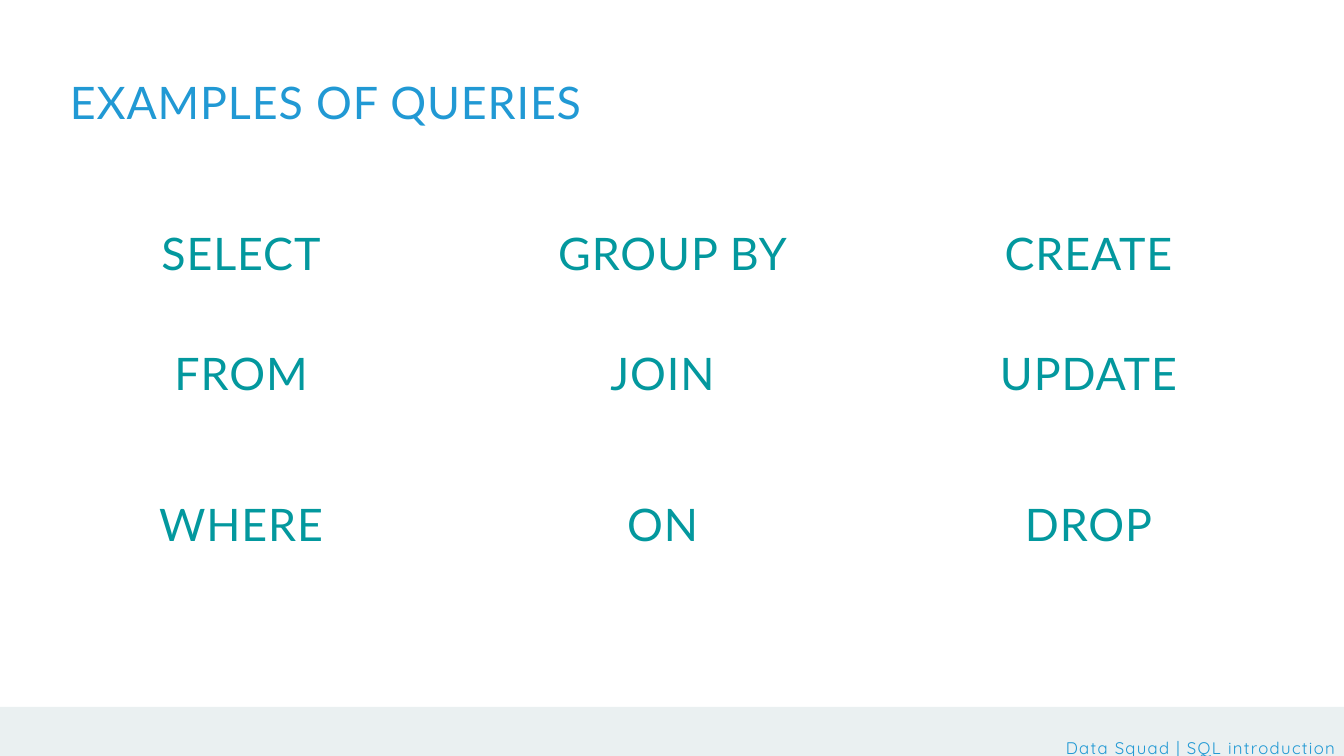
import dataclasses

import pptx
import pptx.dml.color
import pptx.enum.shapes
import pptx.enum.text
import pptx.util

Cm, Pt = pptx.util.Cm, pptx.util.Pt
Align = pptx.enum.text.PP_ALIGN


@dataclasses.dataclass(frozen=True)
class TextStyle:
    font: str
    size: float
    line: float
    tracking: float
    color: str


@dataclasses.dataclass(frozen=True)
class Theme:
    band: str = "EAF0F1"
    title: TextStyle = TextStyle("Lato", 48, 57.6, 1, "2199D4")
    keyword: TextStyle = TextStyle("Lato", 48, 57.6, 1, "03989E")
    footer: TextStyle = TextStyle("Quicksand", 18, 25.2, 1.4, "2199D4")


def set_all(target, formats):
    for name, value in formats.items():
        setattr(target, name, value)


class SlideBuilder:
    def __init__(self, slide, theme):
        self.slide = slide
        self.theme = theme

    def band(self, left, top, width, height):
        shape = self.slide.shapes.add_shape(
            pptx.enum.shapes.MSO_SHAPE.RECTANGLE,
            Cm(left), Cm(top), Cm(width), Cm(height))
        shape.shadow.inherit = False
        shape.fill.solid()
        shape.fill.fore_color.rgb = pptx.dml.color.RGBColor.from_string(self.theme.band)
        shape.line.fill.background()

    def text(self, content, left, top, width, height, style, alignment=Align.LEFT):
        box = self.slide.shapes.add_textbox(Cm(left), Cm(top), Cm(width), Cm(height))
        set_all(box.text_frame, {
            "word_wrap": True,
            "auto_size": pptx.enum.text.MSO_AUTO_SIZE.SHAPE_TO_FIT_TEXT,
            "margin_left": 0, "margin_top": 0,
            "margin_right": 0, "margin_bottom": 0})
        paragraph = box.text_frame.paragraphs[0]
        set_all(paragraph, {"alignment": alignment, "line_spacing": Pt(style.line)})
        run = paragraph.add_run()
        run.text = content
        set_all(run.font, {"name": style.font, "size": Pt(style.size)})
        run.font.color.rgb = pptx.dml.color.RGBColor.from_string(style.color)
        # Letter spacing is held in hundredths of a point
        run.font._element.set("spc", str(round(style.tracking * 100)))


def main():
    presentation = pptx.Presentation()
    set_all(presentation, {"slide_width": Cm(50.8), "slide_height": Cm(28.58)})
    theme = Theme()
    slide = presentation.slides.add_slide(presentation.slide_layouts[6])
    builder = SlideBuilder(slide, theme)

    # Footer band and title
    builder.band(-0.69, 26.72, 52.22, 2.51)
    builder.text("EXAMPLES OF QUERIES", 2.64, 2.84, 38.76, 2.01, theme.title)

    # Keywords, column by column
    columns = {
        2.31: ("SELECT", "FROM", "WHERE"),
        18.24: ("GROUP BY", "JOIN", "ON"),
        34.34: ("CREATE", "UPDATE", "DROP"),
    }
    row_tops = (8.53, 13.06, 18.77)
    nudges = {"GROUP BY": 0.38}
    for left, keywords in columns.items():
        for keyword, top in zip(keywords, row_tops):
            builder.text(keyword, left + nudges.get(keyword, 0), top, 13.61, 2.01,
                         theme.keyword, Align.CENTER)

    # Footer
    builder.band(-0.15, 27.25, 52.22, 2.51)
    builder.text("Data Squad | SQL introduction", 19.2, 27.76, 31.27, 0.81,
                 theme.footer, Align.RIGHT)

    presentation.save("out.pptx")


if __name__ == "__main__":
    main()
